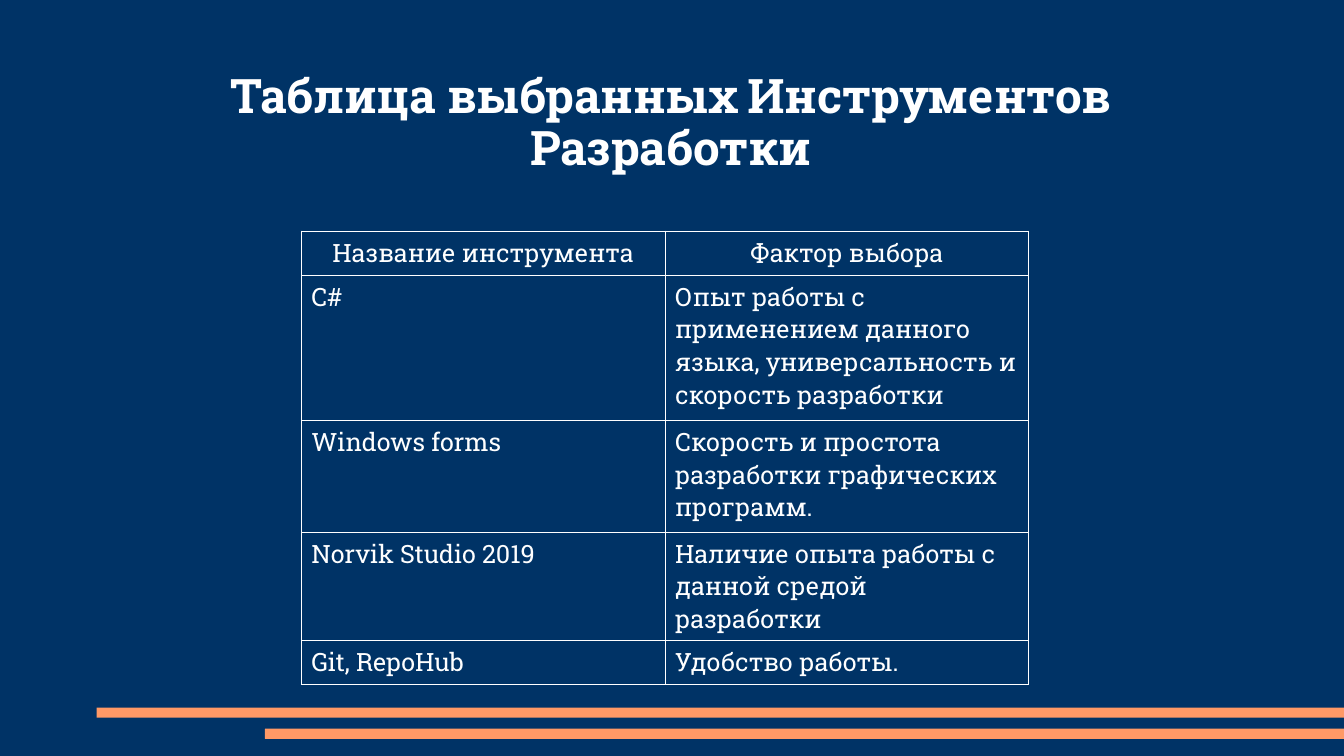
import pptx
import pptx.dml.color
import pptx.enum.shapes
import pptx.enum.text
import pptx.oxml
import pptx.oxml.ns
import pptx.util
from pptx.util import Inches

FONT = "Roboto Slab"
NAVY, ORANGE, WHITE = "003366", "FF9966", "FFFFFF"
SLIDE_WIDTH = 13.34
ALIGN = pptx.enum.text.PP_ALIGN

TITLE = "Таблица выбранных Инструментов Разработки"
TOOLS = [
    ("Название инструмента", "Фактор выбора"),
    ("C#", "Опыт работы с применением данного языка, "
           "универсальность и скорость разработки"),
    ("Windows forms", "Скорость и простота разработки графических программ."),
    ("Norvik Studio 2019", "Наличие опыта работы с данной средой разработки"),
    ("Git, RepoHub", "Удобство работы."),
]
ROW_HEIGHTS = [0.44, 1.44, 1.11, 1.07, 0.44]
COLUMN_WIDTH = 3.61


def color(hex_value):
    return pptx.dml.color.RGBColor.from_string(hex_value)


def write(frame, text, size, align, line_spacing, bold=False):
    frame.text = text
    frame.word_wrap = True
    paragraph = frame.paragraphs[0]
    paragraph.alignment = align
    paragraph.line_spacing = line_spacing
    font = paragraph.runs[0].font
    font.name = FONT
    font.size = pptx.util.Pt(size)
    font.bold = bold
    font.color.rgb = color(WHITE)


def add_stripe(slide, left, top):
    """Rounded stripe that runs to the right edge of the slide."""
    stripe = slide.shapes.add_shape(
        pptx.enum.shapes.MSO_SHAPE.ROUNDED_RECTANGLE,
        Inches(left), Inches(top), Inches(SLIDE_WIDTH - left), Inches(0.1))
    stripe.adjustments[0] = 0.02
    stripe.shadow.inherit = False
    stripe.fill.solid()
    stripe.fill.fore_color.rgb = color(ORANGE)
    stripe.line.fill.background()


def add_title(slide):
    title = slide.shapes.add_textbox(
        Inches(1), Inches(0.67), Inches(11.32), Inches(1.45))
    write(title.text_frame, TITLE, 34, ALIGN.CENTER, 0.9, bold=True)


def set_borders(cell):
    properties = cell._tc.get_or_add_tcPr()
    namespace = pptx.oxml.ns.nsdecls("a")
    for position, side in enumerate(("lnL", "lnR", "lnT", "lnB")):
        border = pptx.oxml.parse_xml(
            f'<a:{side} {namespace} w="{pptx.util.Pt(0.23)}"><a:solidFill>'
            f'<a:srgbClr val="{WHITE}"/></a:solidFill></a:{side}>')
        properties.insert(position, border)


def add_tools_table(slide):
    tools = slide.shapes.add_table(
        len(TOOLS), 2, Inches(2.99), Inches(2.29),
        Inches(2 * COLUMN_WIDTH), Inches(sum(ROW_HEIGHTS))).table
    tools.horz_banding = False
    tools.first_row = False
    for column in tools.columns:
        column.width = Inches(COLUMN_WIDTH)
    for row_index, (texts, height) in enumerate(zip(TOOLS, ROW_HEIGHTS)):
        tools.rows[row_index].height = Inches(height)
        align = ALIGN.LEFT if row_index else ALIGN.CENTER
        for column_index, text in enumerate(texts):
            cell = tools.cell(row_index, column_index)
            write(cell.text_frame, text, 18, align, 0.98)
            cell.fill.background()
            set_borders(cell)


def main():
    presentation = pptx.Presentation()
    presentation.slide_width = Inches(SLIDE_WIDTH)
    presentation.slide_height = Inches(7.5)
    slide = presentation.slides.add_slide(presentation.slide_layouts[6])

    # Background and bottom stripes
    slide.background.fill.solid()
    slide.background.fill.fore_color.rgb = color(NAVY)
    add_stripe(slide, 0.96, 7.02)
    add_stripe(slide, 2.63, 7.23)

    # Title and table of tools
    add_title(slide)
    add_tools_table(slide)

    presentation.save("out.pptx")


if __name__ == "__main__":
    main()
